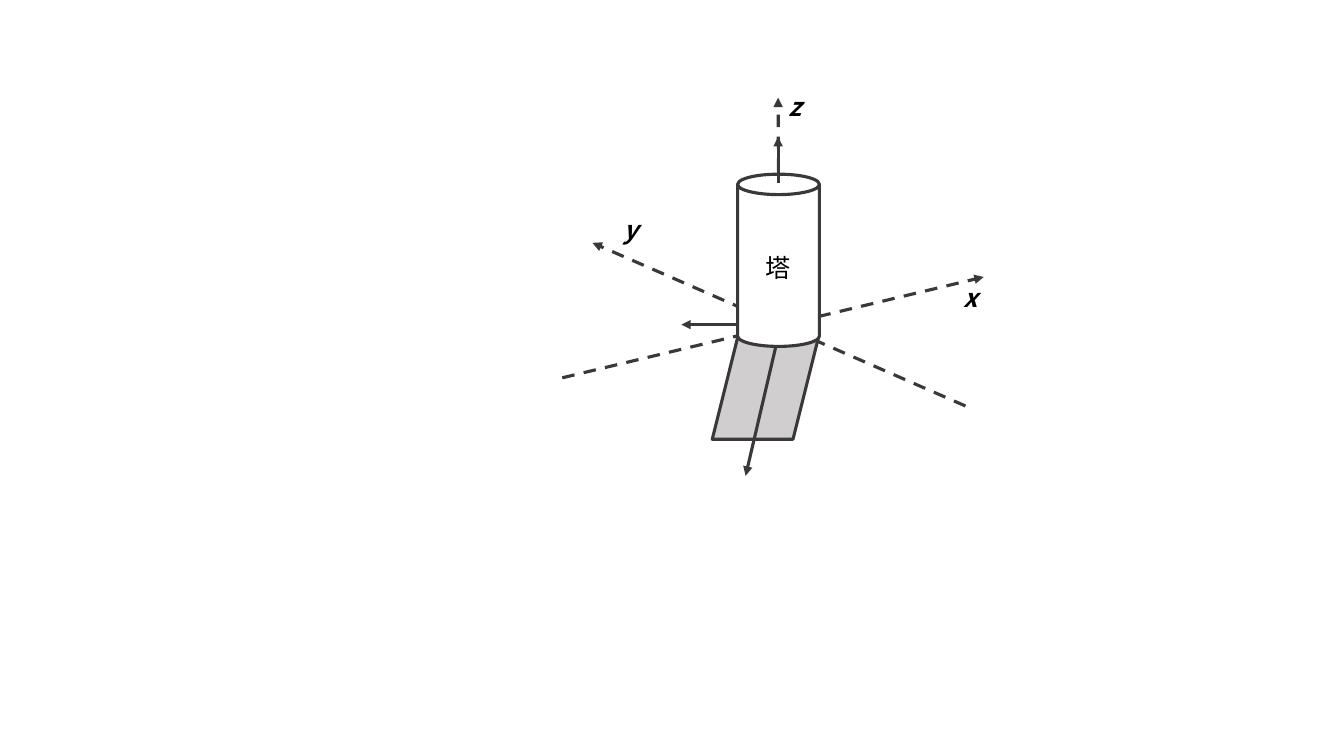
from lxml.etree import SubElement
from pptx import Presentation
from pptx.dml.color import RGBColor
from pptx.enum.dml import MSO_LINE
from pptx.enum.shapes import MSO_CONNECTOR, MSO_SHAPE
from pptx.enum.text import MSO_AUTO_SIZE
from pptx.oxml.ns import qn
from pptx.util import Cm, Pt

FONT = "Noto Sans CJK SC"
INK, GREY, WHITE, BLACK = "3B3838", "D0CECE", "FFFFFF", "000000"


def color(code):
    return RGBColor.from_string(code)


def arrow(slide, box, start, end, dash=False):
    left, top = box
    line = slide.shapes.add_connector(
        MSO_CONNECTOR.STRAIGHT,
        Cm(left + start[0]), Cm(top + start[1]),
        Cm(left + end[0]), Cm(top + end[1]))
    line.line.color.rgb = color(INK)
    line.line.width = Pt(2.25)
    if dash:
        line.line.dash_style = MSO_LINE.DASH
    SubElement(line.line._get_or_add_ln(), qn("a:tailEnd"), type="triangle")
    SubElement(line._element.spPr, qn("a:effectLst"))


def solid(slide, box, kind, place, fill):
    x, y, width, height = place
    shape = slide.shapes.add_shape(
        kind, Cm(box[0] + x), Cm(box[1] + y), Cm(width), Cm(height))
    shape.shadow.inherit = False
    shape.fill.solid()
    shape.fill.fore_color.rgb = color(fill)
    shape.line.color.rgb = color(INK)
    shape.line.width = Pt(2.25)


def label(slide, box, text, x, y, width=1.04, axis=True):
    frame = slide.shapes.add_textbox(
        Cm(box[0] + x), Cm(box[1] + y), Cm(width), Cm(1.02)).text_frame
    frame.word_wrap = axis
    frame.auto_size = MSO_AUTO_SIZE.SHAPE_TO_FIT_TEXT
    frame.text = text
    run = frame.paragraphs[0].runs[0]
    font = run.font
    font.name = FONT
    font.size = Pt(18)
    font.bold = font.italic = axis
    font.color.rgb = color(BLACK)
    SubElement(run._r.get_or_add_rPr(), qn("a:ea"), typeface=FONT)


def axes(slide, box):
    # Dashed axes, each with its name near the tip
    for name, start, end, spot in [
            ("x", (0, 7.34), (10.62, 4.8), (9.86, 4.8)),
            ("y", (10.16, 8.05), (0.76, 3.94), (1.3, 3.1)),
            ("z", (5.46, 6), (5.44, 0.28), (5.46, 0))]:
        arrow(slide, box, start, end, dash=True)
        label(slide, box, name, *spot)


def tower(slide, box):
    # Panel at the foot, under the arrows
    solid(slide, box, MSO_SHAPE.PARALLELOGRAM, (3.78, 6.27, 2.69, 2.62), GREY)

    # Arrows that leave the tower's core
    core = (5.51, 6)
    for end in [(4.62, 9.81), (3, 6)]:
        arrow(slide, box, core, end)

    # Tower body, its upward arrow and its name
    solid(slide, box, MSO_SHAPE.CAN, (4.42, 2.21, 2.06, 4.34), WHITE)
    arrow(slide, box, (5.44, 2.44), (5.44, 1.27))
    label(slide, box, "塔", 4.88, 4.06, width=1.14, axis=False)


def main():
    deck = Presentation()
    deck.slide_width, deck.slide_height = Cm(33.87), Cm(19.05)
    slide = deck.slides.add_slide(deck.slide_layouts[6])
    box = (14.17, 2.18)
    axes(slide, box)
    tower(slide, box)
    deck.save("out.pptx")


if __name__ == "__main__":
    main()
